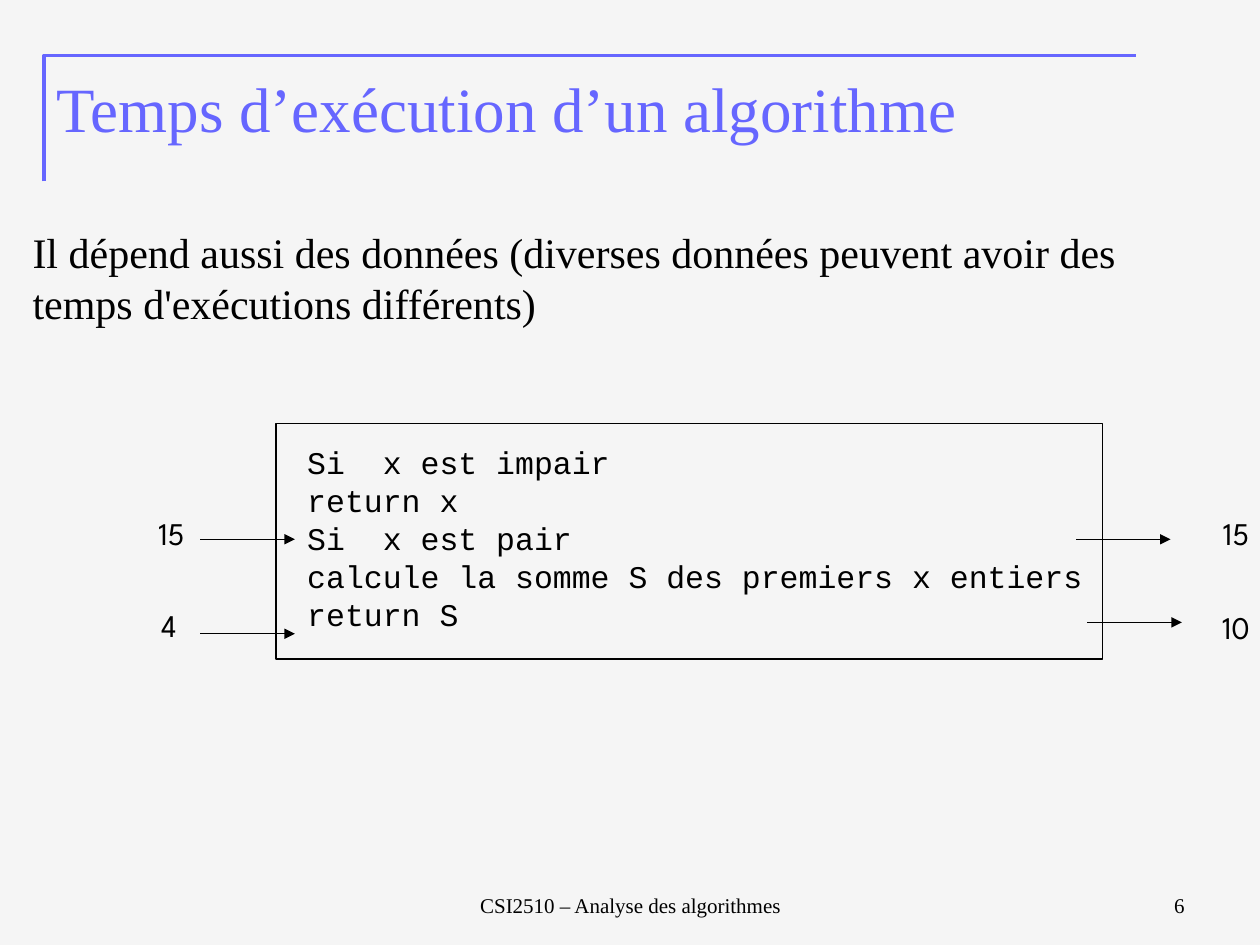
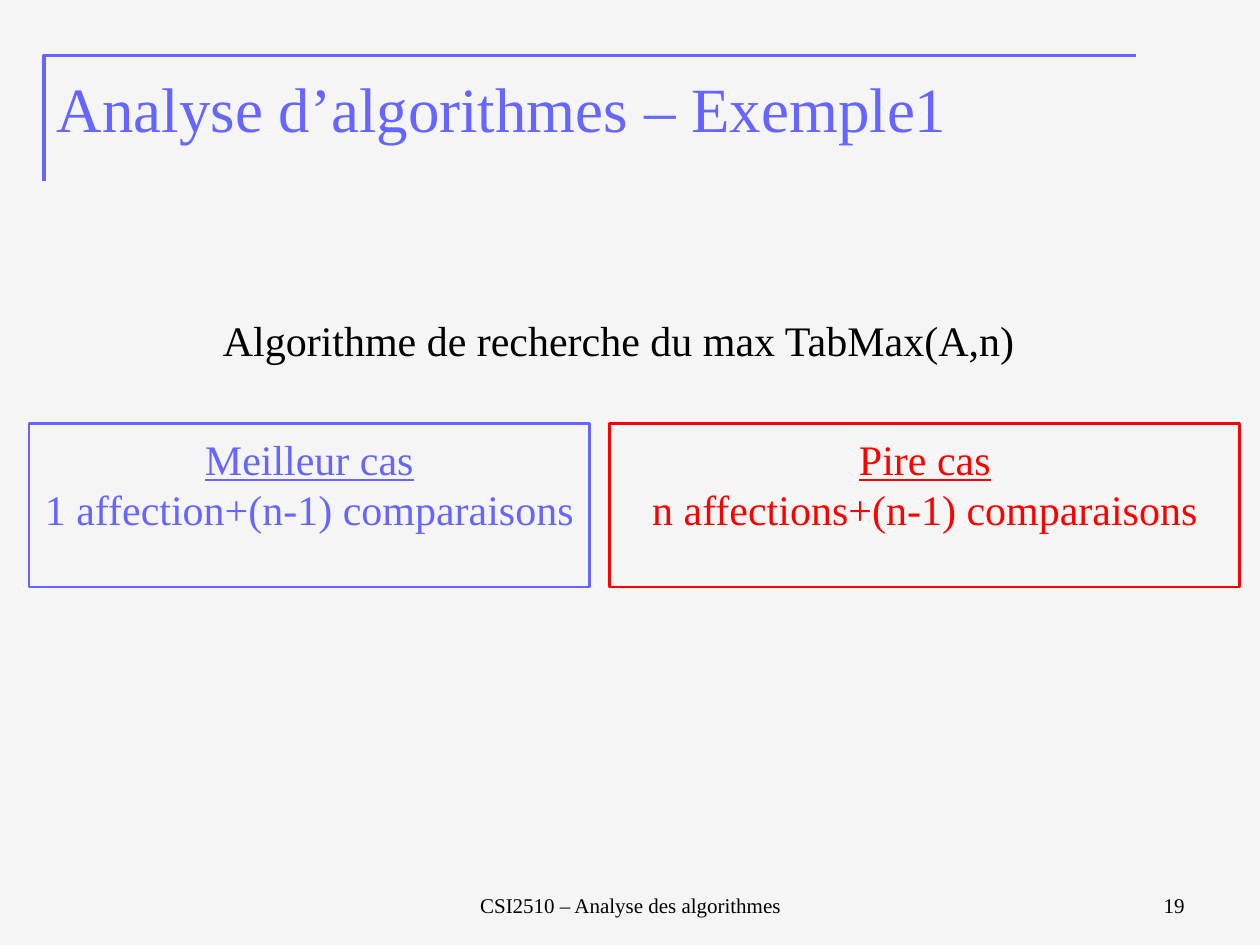
from lxml import etree
from pptx import Presentation, util as u
from pptx.dml.color import RGBColor
from pptx.enum import shapes, text
from pptx.oxml.ns import qn

SERIF, MONO, SANS = "Times New Roman", "Courier New", "League Spartan"
INK, ACCENT, ALERT, PAPER = "000000", "6666FF", "FF0000", "F5F5F5"
LEFT, CENTER, RIGHT = text.PP_ALIGN.LEFT, text.PP_ALIGN.CENTER, text.PP_ALIGN.RIGHT
TOP, MIDDLE, BOTTOM = text.MSO_ANCHOR.TOP, text.MSO_ANCHOR.MIDDLE, text.MSO_ANCHOR.BOTTOM
FOOTER = "CSI2510 – Analyse des algorithmes"


def color(hex_code):
    """Turn a hex string into a colour."""
    return RGBColor.from_string(hex_code)


def inches(*lengths):
    """Turn numbers into lengths in inches."""
    return [u.Inches(length) for length in lengths]


def write(shape, lines, size, font=SERIF, ink=INK, align=LEFT, anchor=TOP, top=0.08, wrap=True):
    """Fill a shape with one paragraph per line and format them alike."""
    frame = shape.text_frame
    frame.text = "\n".join(lines)
    frame.word_wrap = wrap
    frame.auto_size = text.MSO_AUTO_SIZE.NONE
    frame.vertical_anchor = anchor
    frame.margin_left, frame.margin_right, frame.margin_top, frame.margin_bottom = inches(
        0.1, 0.1, top, 0.05)
    for para in frame.paragraphs:
        para.alignment = align
        if anchor == TOP:
            para.line_spacing = u.Pt(1.2 * size)
        for span in para.runs:
            span.font.size = u.Pt(size)
            span.font.name = font
            span.font.color.rgb = color(ink)
    return frame


def add_text(page, box, lines, size, **style):
    """Add a text box at (left, top, width, height)."""
    return write(page.shapes.add_textbox(*inches(*box)), lines, size, **style)


def add_frame(page, box, ink, width):
    """Add an unfilled outlined rectangle."""
    frame = page.shapes.add_shape(shapes.MSO_SHAPE.RECTANGLE, *inches(*box))
    frame.shadow.inherit = False
    frame.fill.background()
    frame.line.color.rgb = color(ink)
    frame.line.width = u.Pt(width)
    return frame


def add_arrow(page, left, y, length=0.75):
    """Add a thin arrow pointing right."""
    arrow = page.shapes.add_connector(
        shapes.MSO_CONNECTOR.STRAIGHT, *inches(left, y, left + length, y))
    arrow.line.color.rgb = color(INK)
    arrow.line.width = u.Pt(0.75)
    etree.SubElement(arrow.line._get_or_add_ln(), qn("a:tailEnd"), type="triangle")
    etree.SubElement(arrow._element.spPr, qn("a:effectLst"))


def add_corner(page, box):
    """Draw the open corner line that holds the title."""
    left, top, width, height = box
    builder = page.shapes.build_freeform(*inches(left, top + height))
    builder.add_line_segments([inches(left, top), inches(left + width, top)], close=False)
    corner = builder.convert_to_shape()
    corner.shadow.inherit = False
    corner.fill.background()
    corner.line.color.rgb = color(ACCENT)
    corner.line.width = u.Pt(2)


def add_page(deck, title, number):
    """Add a slide with its corner line, title, footer and number."""
    page = deck.slides.add_slide(deck.slide_layouts[5])
    add_corner(page, (0.35, 0.44, 8.67, 1))
    heading = page.shapes.title
    heading.left, heading.top, heading.width, heading.height = inches(0.35, 0.44, 9.18, 0.82)
    write(heading, [title], 36, ink=ACCENT, anchor=MIDDLE, top=0.05)
    add_text(page, (3.42, 6.83, 3.17, 0.5), [FOOTER], 12, align=CENTER, anchor=BOTTOM)
    add_text(page, (7.17, 6.83, 2.33, 0.5), [str(number)], 12, align=RIGHT, anchor=BOTTOM)
    return page


def add_code(page, box, lines):
    """Add the framed pseudocode."""
    left, top, width, height = box
    add_text(page, (left + 0.15, top + 0.08, width, 1.6), lines, 18, font=MONO)
    add_frame(page, box, INK, 0.75)


def add_value(page, center, top, value):
    """Add an input or output value centred on a column."""
    add_text(page, (center - 0.24, top, 0.48, 0.4), [value], 18, font=SANS,
             align=CENTER, top=0.05, wrap=False)


def add_case(page, box, name, cost, ink):
    """Add a framed case with an underlined name above its cost."""
    frame = write(add_frame(page, box, ink, 1.5), [name, cost], 24, ink=ink, align=CENTER)
    frame.paragraphs[0].runs[0].font.underline = True


def build_running_time(deck):
    """Build the slide on running time and input data."""
    page = add_page(deck, "Temps d’exécution d’un algorithme", 6)
    add_text(page, (0.16, 1.72, 9.21, 1), [
        "Il dépend aussi des données (diverses données peuvent avoir des "
        "temps d'exécutions différents)"], 24)
    add_code(page, (2.19, 3.36, 6.56, 1.87), [
        "Si  x est impair", "return x", "Si  x est pair",
        "calcule la somme S des premiers x entiers", "return S"])
    for center, top, value, arrow_left, arrow_y in [
            (1.36, 4.03, "15", 1.59, 4.28), (9.81, 4.03, "15", 8.54, 4.28),
            (1.34, 4.76, "4", 1.59, 5.03), (9.81, 4.78, "10", 8.63, 4.94)]:
        add_value(page, center, top, value)
        add_arrow(page, arrow_left, arrow_y)


def build_best_and_worst(deck):
    """Build the slide comparing best and worst cases."""
    page = add_page(deck, "Analyse d’algorithmes – Exemple1", 19)
    add_text(page, (0.66, 2.42, 8.5, 0.5),
             ["Algorithme de recherche du max TabMax(A,n)"], 24, align=CENTER)
    add_case(page, (0.23, 3.36, 4.45, 1.3), "Meilleur cas",
             "1 affection+(n-1) comparaisons", ACCENT)
    add_case(page, (4.84, 3.36, 5, 1.3), "Pire cas",
             "n affections+(n-1) comparaisons", ALERT)


def main():
    """Build and save the deck."""
    deck = Presentation()
    deck.slide_width, deck.slide_height = inches(10, 7.5)
    backdrop = deck.slide_master.background.fill
    backdrop.solid()
    backdrop.fore_color.rgb = color(PAPER)
    build_running_time(deck)
    build_best_and_worst(deck)
    deck.save("out.pptx")


if __name__ == "__main__":
    main()
